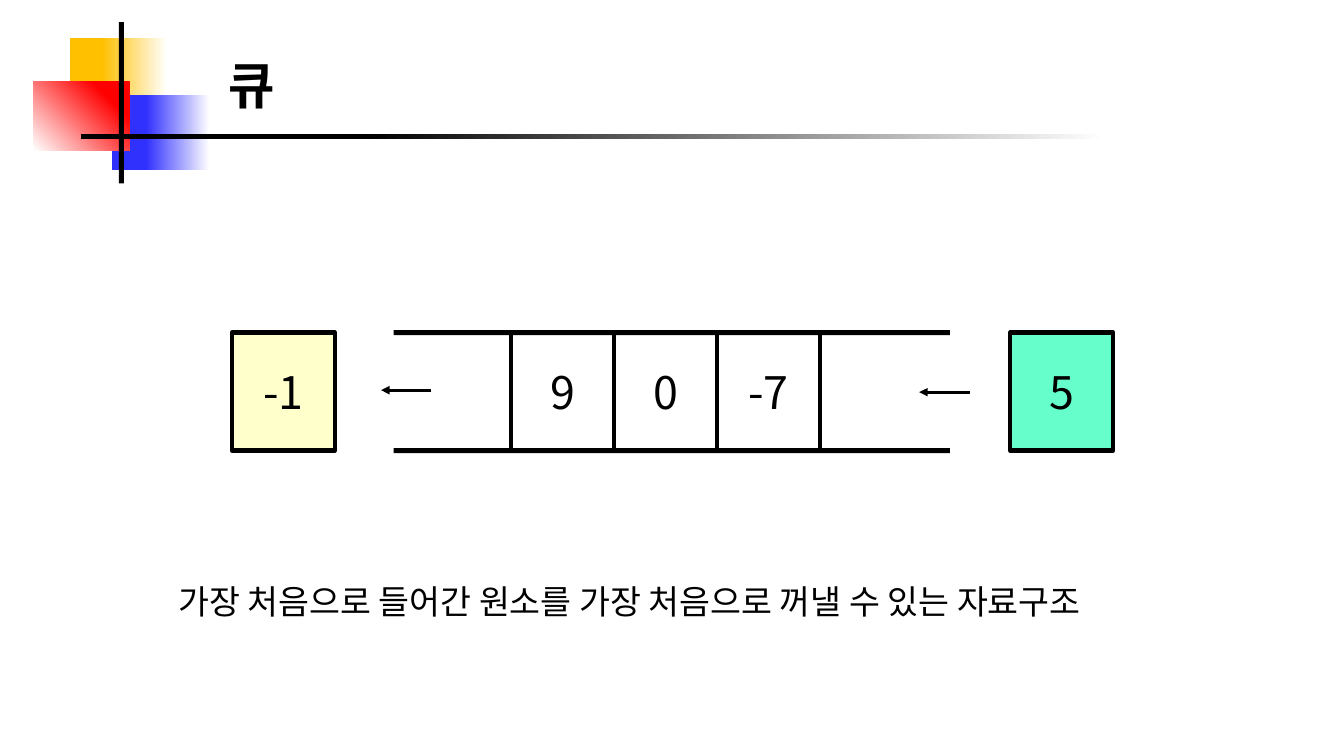
import dataclasses
import typing

import lxml.etree
import pptx
import pptx.dml.color
import pptx.enum.shapes
import pptx.enum.text
import pptx.oxml.ns
import pptx.util

Pt = pptx.util.Pt
RGB = pptx.dml.color.RGBColor
ALIGN = pptx.enum.text.PP_ALIGN
qn = pptx.oxml.ns.qn

FONT = "Noto Sans CJK KR"
BLACK = RGB(0x00, 0x00, 0x00)
WHITE = RGB(0xFF, 0xFF, 0xFF)
GOLD = RGB(0xFF, 0xC0, 0x00)
BLUE = RGB(0x31, 0x31, 0xFD)
RED = RGB(0xFF, 0x00, 0x00)
CREAM = RGB(0xFF, 0xFF, 0xCC)
MINT = RGB(0x66, 0xFF, 0xCC)

CELL_W, CELL_H = 73.6, 84.24
ROW_TOP = 237.6
QUEUE_X = 365
RAIL_X, RAIL_W, RAIL_H = 281.2, 397.4, 3.6
ARROW_W = 36


@dataclasses.dataclass
class Block:
    x: float
    y: float
    w: float
    h: float
    color: RGB
    stop: typing.Optional[float] = None
    angle: float = 180


@dataclasses.dataclass
class Cell:
    x: float
    text: str
    color: typing.Optional[RGB] = None


@dataclasses.dataclass
class Arrow:
    x: float
    y: float


MOTIF = [
    Block(49.7, 27.4, 69.8, 68.4, GOLD, 0.67),
    Block(79.9, 67.7, 69.8, 54, BLUE, 0.65),
    Block(23.8, 58.3, 68.4, 49, RED, 0.78, 45),
    Block(84.9, 15.8, 3.6, 115.2, BLACK),
    Block(57.6, 95.9, 731.5, 3.6, BLACK, 0.72),
]
RAILS = [
    Block(RAIL_X, y - RAIL_H / 2, RAIL_W, RAIL_H, BLACK)
    for y in (ROW_TOP, ROW_TOP + CELL_H)
]
CELLS = [
    Cell(QUEUE_X + i * CELL_W, text) for i, text in enumerate(("9", "0", "-7"))
] + [Cell(165.6, "-1", CREAM), Cell(721.6, "5", MINT)]
ARROWS = [Arrow(308.2, 278.7), Arrow(692.6, 280.1)]


def style(frame, text: str, size: float, align: ALIGN, bold: bool = False):
    frame.text = text
    frame.word_wrap = True
    frame.auto_size = pptx.enum.text.MSO_AUTO_SIZE.NONE
    frame.vertical_anchor = pptx.enum.text.MSO_ANCHOR.MIDDLE
    line = frame.paragraphs[0]
    line.alignment = align
    run = line.runs[0]
    run.font.name = FONT
    run.font.size = Pt(size)
    run.font.bold = bold
    run.font.color.rgb = BLACK
    props = run.font._element
    lxml.etree.SubElement(props, qn("a:ea"), typeface=FONT)
    return props


def add_rect(shapes, x: float, y: float, w: float, h: float):
    rect = shapes.add_shape(
        pptx.enum.shapes.MSO_SHAPE.RECTANGLE, Pt(x), Pt(y), Pt(w), Pt(h)
    )
    rect.shadow.inherit = False
    return rect


def draw_block(shapes, block: Block) -> None:
    rect = add_rect(shapes, block.x, block.y, block.w, block.h)
    rect.line.fill.background()
    if block.stop is None:
        rect.fill.solid()
        rect.fill.fore_color.rgb = block.color
        return
    rect.fill.gradient()
    rect.fill.gradient_angle = block.angle
    first, last = rect.fill.gradient_stops
    first.position, first.color.rgb = 0, WHITE
    last.position, last.color.rgb = block.stop, block.color


def draw_cell(shapes, cell: Cell) -> None:
    rect = add_rect(shapes, cell.x, ROW_TOP, CELL_W, CELL_H)
    if cell.color is None:
        rect.fill.background()
    else:
        rect.fill.solid()
        rect.fill.fore_color.rgb = cell.color
    rect.line.color.rgb = BLACK
    rect.line.width = Pt(3)
    style(rect.text_frame, cell.text, 32, ALIGN.CENTER)


def draw_arrow(shapes, arrow: Arrow) -> None:
    link = shapes.add_connector(
        pptx.enum.shapes.MSO_CONNECTOR.STRAIGHT,
        Pt(arrow.x), Pt(arrow.y), Pt(arrow.x - ARROW_W), Pt(arrow.y),
    )
    link.line.color.rgb = BLACK
    link.line.width = Pt(2)
    props = link._element.spPr
    lxml.etree.SubElement(props.find(qn("a:ln")), qn("a:tailEnd"), type="triangle")
    lxml.etree.SubElement(props, qn("a:effectLst"))


def main() -> None:
    deck = pptx.Presentation()
    deck.slide_width, deck.slide_height = Pt(960), Pt(540)
    slide = deck.slides.add_slide(deck.slide_layouts[5])
    shapes = slide.shapes

    title = shapes.title
    title.left, title.top = Pt(156.2), Pt(34.6)
    title.width, title.height = Pt(527), Pt(51.1)
    props = style(title.text_frame, "큐", 36, ALIGN.LEFT, True)
    props.set("spc", "300")

    motif = shapes.add_group_shape().shapes
    for block in MOTIF:
        draw_block(motif, block)

    note = shapes.add_textbox(Pt(120.2), Pt(411.1), Pt(719.3), Pt(36))
    text = "가장 처음으로 들어간 원소를 가장 처음으로 꺼낼 수 있는 자료구조"
    style(note.text_frame, text, 24, ALIGN.LEFT)

    for rail in RAILS:
        draw_block(shapes, rail)
    for cell in CELLS:
        draw_cell(shapes, cell)
    for arrow in ARROWS:
        draw_arrow(shapes, arrow)

    deck.save("out.pptx")


if __name__ == "__main__":
    main()
